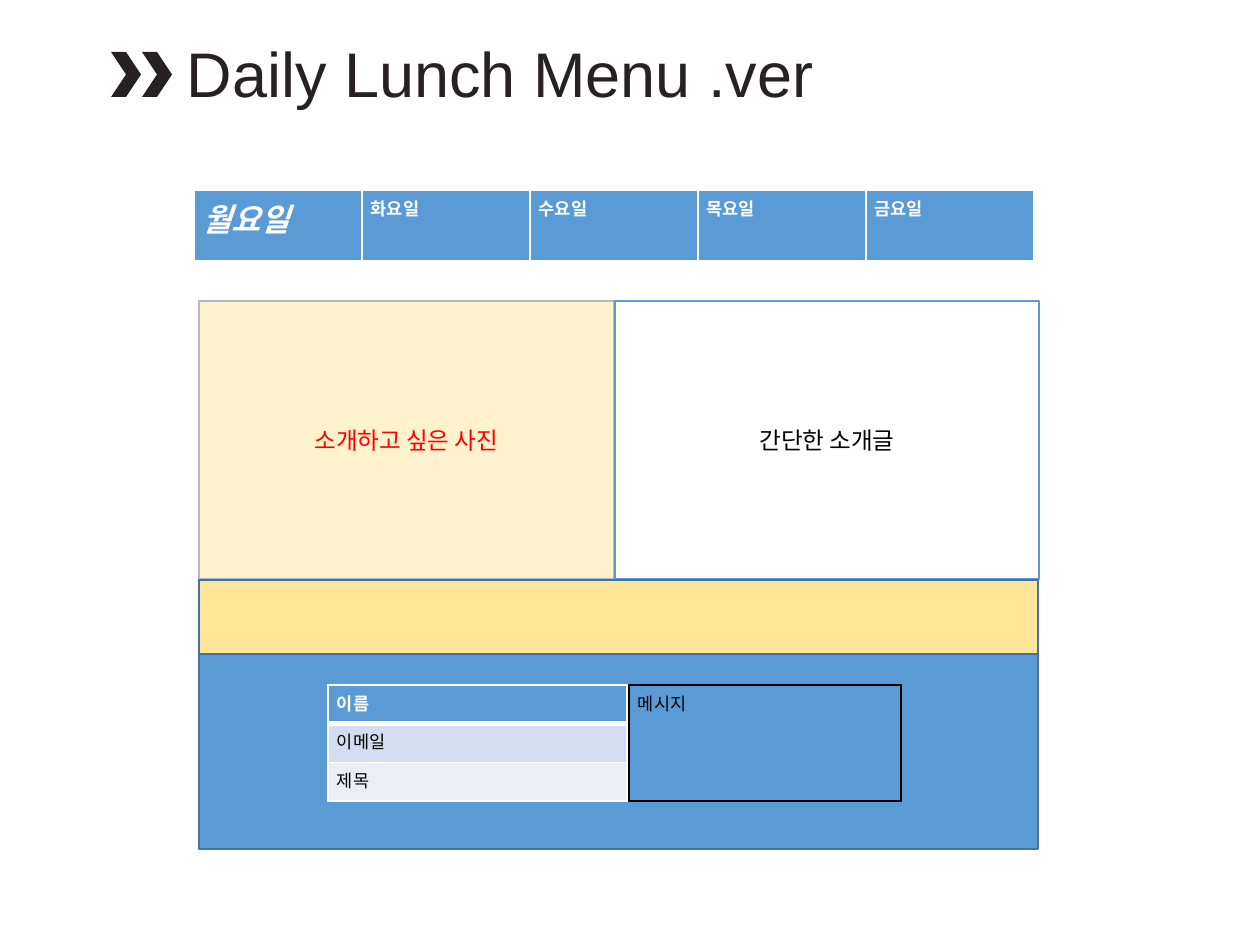
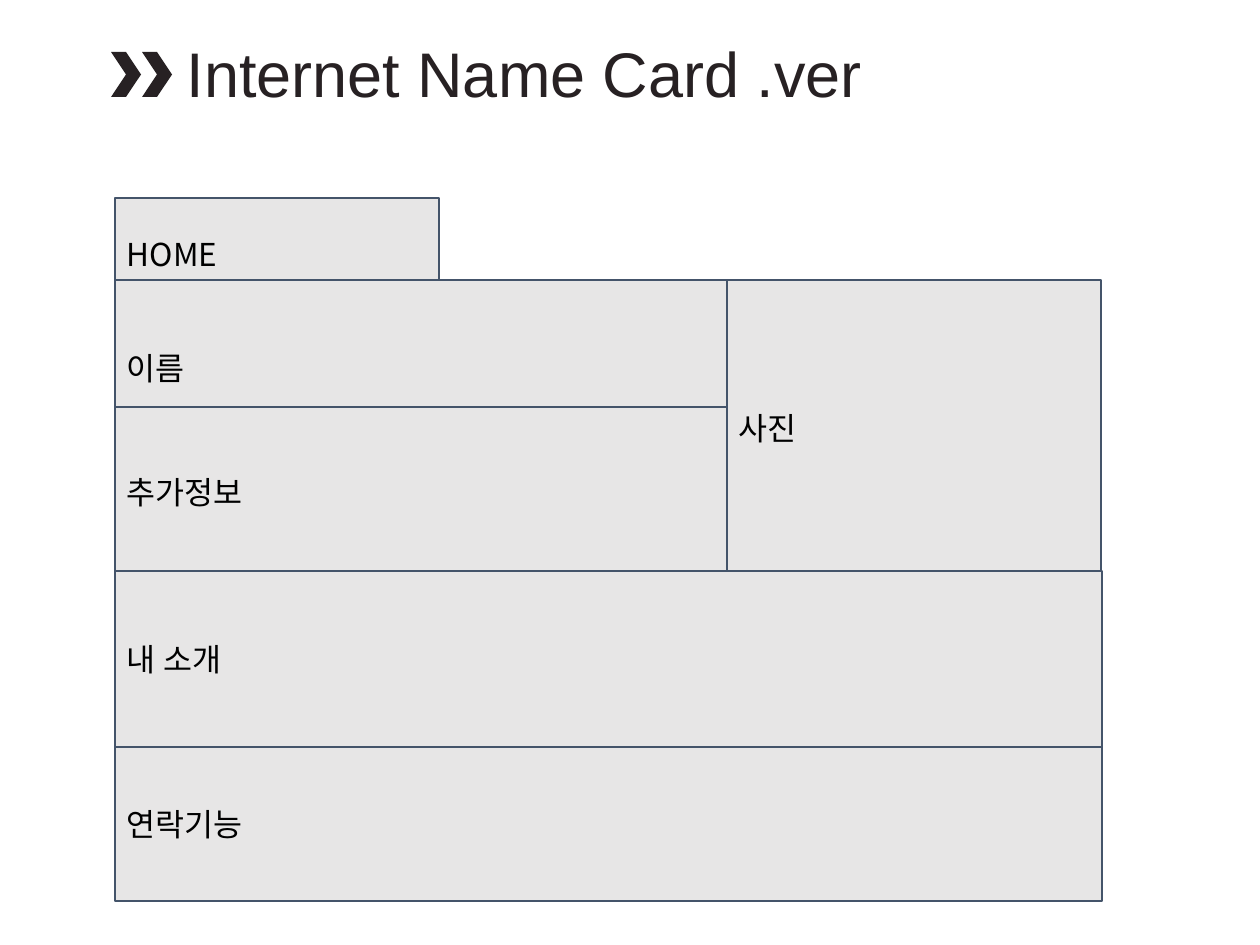
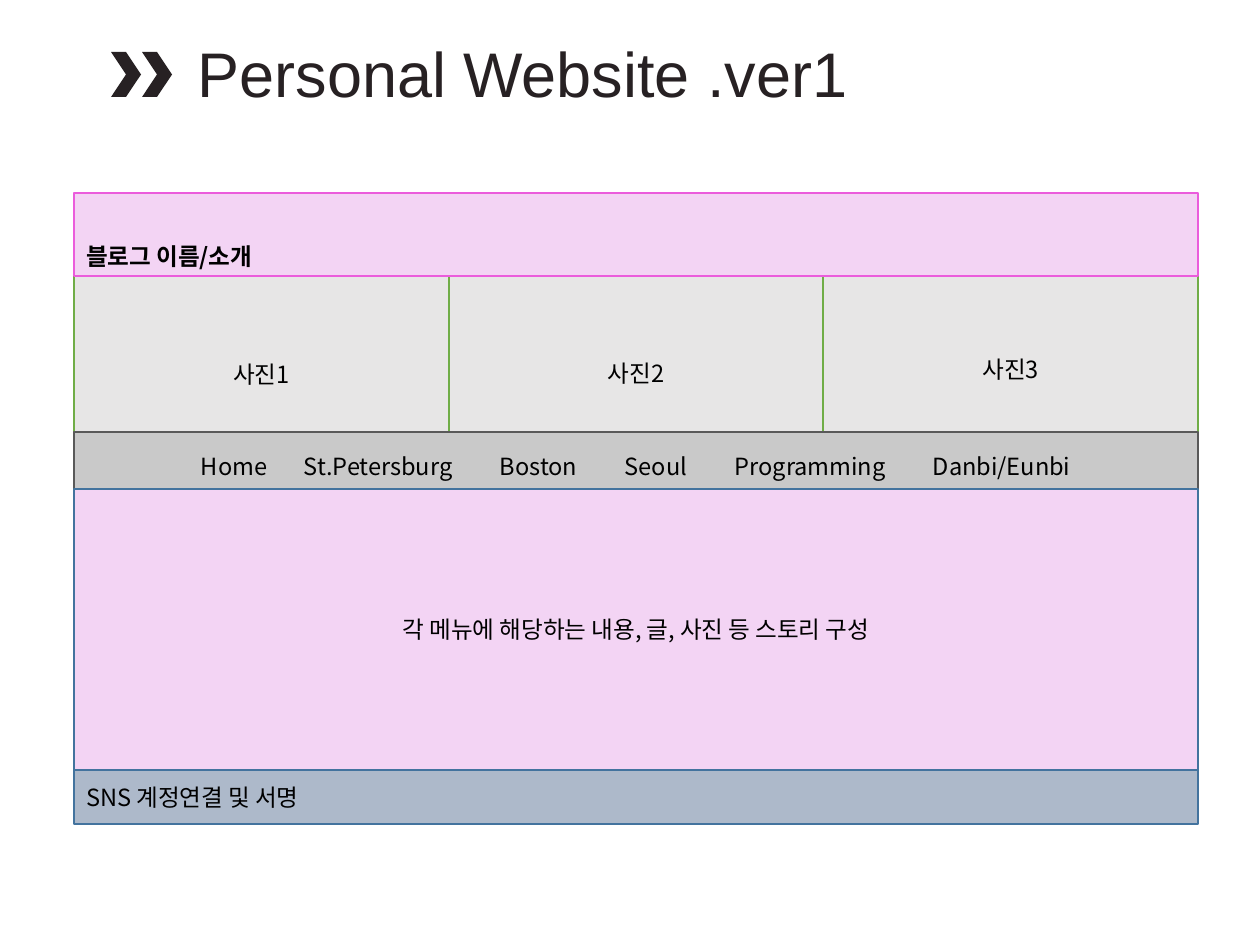
import pptx
import pptx.util
import pptx.dml.color
import pptx.enum.shapes
import pptx.enum.text
import pptx.oxml

SCALE = 914400 / 126
KIND = pptx.enum.shapes.MSO_SHAPE
ALIGN = pptx.enum.text.PP_ALIGN
ANCHOR = pptx.enum.text.MSO_ANCHOR
SPACE = 'xmlns:a="http://schemas.openxmlformats.org/drawingml/2006/main"'

INK, BLACK, WHITE, RED = "272123", "000000", "FFFFFF", "FF0000"
BLUE, NAVY, SLATE, STEEL = "5B9BD5", "43739E", "44546A", "ADB9CA"
GREY, PINK, GREEN = "E7E6E6", "F3D4F4", "70AD47"
KOREAN, LATIN = "Noto Sans CJK KR", "Arial"

# Heading text and its left edge
HEADS = [("Daily Lunch Menu .ver", 174), ("Internet Name Card .ver", 174),
         ("Personal Website .ver1", 185)]
ARROWS = [111, 142]

# Boxes: text, (left, top, width, height), fill, line, then text options
LUNCH = [
    ("", (199, 301, 839, 548), BLUE, NAVY, {}),
    ("소개하고 싶은 사진", (199, 301, 415, 278), "FFF2CC", STEEL, {"color": RED}),
    ("간단한 소개글", (615, 301, 424, 278), WHITE, BLUE, {}),
    ("", (199, 580, 839, 74), "FFE699", NAVY, {}),
]
DAYS = ["월요일", "화요일", "수요일", "목요일", "금요일"]
FORM = [("이름", BLUE, WHITE, True), ("이메일", "D2DEEF", BLACK, False),
        ("제목", "EAEFF7", BLACK, False)]

CARD = [
    ("HOME", (115, 198, 324, 111)),
    ("이름", (115, 280, 612, 176)),
    ("추가정보", (115, 407, 684, 169)),
    ("사진", (727, 280, 374, 296)),
    ("내 소개", (115, 571, 987, 176)),
    ("연락기능", (115, 747, 987, 154)),
]

LEFT, WIDE = 74, 1124
PHOTOS = [("사진1", 266), ("사진2", 265), ("사진3", 261)]
MENU = [("Home", 201), ("St.Petersburg", 304), ("Boston", 500),
        ("Seoul", 625), ("Programming", 735), ("Danbi/Eunbi", 933)]
SITE = [
    ("각 메뉴에 해당하는 내용, 글, 사진 등 스토리 구성",
     (LEFT, 489, WIDE, 281), PINK, NAVY, {}),
    ("SNS 계정연결 및 서명", (LEFT, 770, WIDE, 54), STEEL, NAVY,
     {"align": ALIGN.LEFT}),
    ("블로그 이름/소개", (LEFT, 193, WIDE, 83), PINK, "EB5CDC",
     {"align": ALIGN.LEFT, "anchor": ANCHOR.BOTTOM, "bold": True,
      "weight": 0.75}),
]


def px(num):
    """Turn pixels into EMU."""
    return pptx.util.Emu(round(num * SCALE))


def place(area):
    """Turn a pixel box into EMU."""
    return [px(num) for num in area]


def hue(code):
    """Turn a hex string into a colour."""
    return pptx.dml.color.RGBColor.from_string(code)


def write(frame, text, size, color=BLACK, bold=False, italic=False,
          align=ALIGN.LEFT, face=KOREAN):
    """Fill a text frame with one styled paragraph."""
    para = frame.paragraphs[0]
    para.text, para.alignment = text, align
    font = para.font
    font.size, font.name = pptx.util.Pt(size), face
    font.bold, font.italic = bold, italic
    font.color.rgb = hue(color)
    props = para._p.get_or_add_pPr().get_or_add_defRPr()
    props.append(pptx.oxml.parse_xml(f'<a:ea {SPACE} typeface="{face}"/>'))
    return para


def box(slide, text, area, fill, line, size=13.5, weight=1, inset=None,
        align=ALIGN.CENTER, anchor=ANCHOR.MIDDLE, **style):
    """Draw a framed rectangle, with text if there is any."""
    shape = slide.shapes.add_shape(KIND.RECTANGLE, *place(area))
    shape.shadow.inherit = False
    shape.fill.solid()
    shape.fill.fore_color.rgb = hue(fill)
    shape.line.color.rgb = hue(line)
    shape.line.width = pptx.util.Pt(weight)
    frame = shape.text_frame
    frame.word_wrap, frame.vertical_anchor = True, anchor
    if inset:
        frame.margin_left = frame.margin_right = px(inset)
        frame.margin_top = frame.margin_bottom = px(inset)
    if text:
        write(frame, text, size, align=align, **style)
    return shape


def grid(slide, rows, cols, area):
    """Add an even table and return it."""
    table = slide.shapes.add_table(rows, cols, *place(area)).table
    for col in table.columns:
        col.width = px(area[2] / cols)
    for row in table.rows:
        row.height = px(area[3] / rows)
    return table


def cell(part, text, fill, edge=WHITE, base=1, size=10, **style):
    """Style one table cell; base is the width of its lower border."""
    part.margin_left = part.margin_right = px(9)
    part.margin_top = part.margin_bottom = px(5)
    write(part.text_frame, text, size, **style)
    if fill:
        part.fill.solid()
        part.fill.fore_color.rgb = hue(fill)
    else:
        part.fill.background()
    props = part._tc.get_or_add_tcPr()
    for spot, side in enumerate("LRTB"):
        width = pptx.util.Pt(base if side == "B" else 1)
        props.insert(spot, pptx.oxml.parse_xml(
            f'<a:ln{side} {SPACE} w="{width}"><a:solidFill>'
            f'<a:srgbClr val="{edge}"/></a:solidFill></a:ln{side}>'))


def start(deck, text, left):
    """Add a slide with its heading and double chevron."""
    slide = deck.slides.add_slide(deck.slide_layouts[5])
    title = slide.shapes.title
    title.left, title.top, title.width, title.height = place((left, 28, 784, 89))
    title.text_frame.vertical_anchor = ANCHOR.TOP
    write(title.text_frame, text, 36, INK, face=LATIN)
    group = slide.shapes.add_group_shape()
    for x in ARROWS:
        arrow = group.shapes.add_shape(KIND.CHEVRON, *place((x, 52, 30, 45)))
        arrow.shadow.inherit = False
        arrow.fill.solid()
        arrow.fill.fore_color.rgb = hue(INK)
        arrow.line.fill.background()
    return slide


def lunch(slide):
    """Lay out the lunch menu page."""
    week = grid(slide, 1, len(DAYS), (194, 190, 840, 72))
    for num, day in enumerate(DAYS):
        cell(week.cell(0, num), day, BLUE, base=3, color=WHITE, bold=True,
             size=10 if num else 18, italic=num == 0)
    for text, area, fill, line, style in LUNCH:
        box(slide, text, area, fill, line, **style)
    form = grid(slide, len(FORM), 1, (328, 685, 299, 116))
    for num, (text, fill, color, bold) in enumerate(FORM):
        cell(form.cell(num, 0), text, fill, base=1 if num else 3,
             color=color, bold=bold)
    note = grid(slide, 1, 1, (629, 685, 272, 116))
    cell(note.cell(0, 0), "메시지", None, edge=BLACK)


def card(slide):
    """Lay out the name card page."""
    for text, area in CARD:
        box(slide, text, area, GREY, SLATE, size=18, weight=0.75, inset=12,
            align=ALIGN.LEFT)


def menu(slide):
    """Draw the menu bar, its entries set on tab stops."""
    first = MENU[0][1]
    bar = box(slide, "", (LEFT, 432, WIDE, 68), "C9C9C9", "595959")
    bar.text_frame.margin_left = px(first - LEFT)
    bar.text_frame.margin_right = 0
    para = write(bar.text_frame, "\t".join(name for name, x in MENU), 13.5)
    stops = "".join(f'<a:tab pos="{px(x - first)}" algn="l"/>'
                    for name, x in MENU[1:])
    para._p.get_or_add_pPr().insert(0, pptx.oxml.parse_xml(
        f'<a:tabLst {SPACE}>{stops}</a:tabLst>'))


def site(slide):
    """Lay out the personal website page."""
    step = WIDE / len(PHOTOS)
    for num, (text, top) in enumerate(PHOTOS):
        box(slide, text, (LEFT + num * step, top, step, 217), GREY, GREEN)
    menu(slide)
    for text, area, fill, line, style in SITE:
        box(slide, text, area, fill, line, **style)


deck = pptx.Presentation()
deck.slide_width, deck.slide_height = px(1260), px(945)
for (text, left), draw in zip(HEADS, (lunch, card, site)):
    draw(start(deck, text, left))
deck.save("out.pptx")
